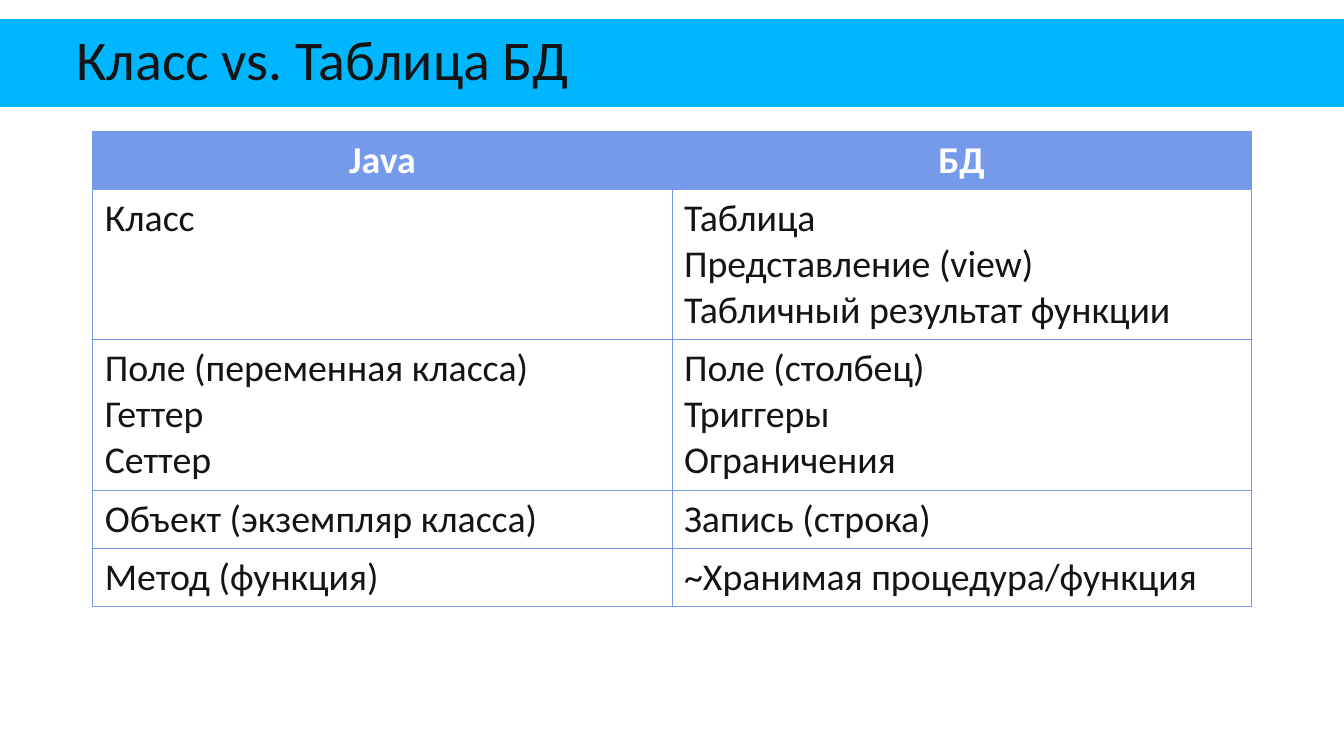
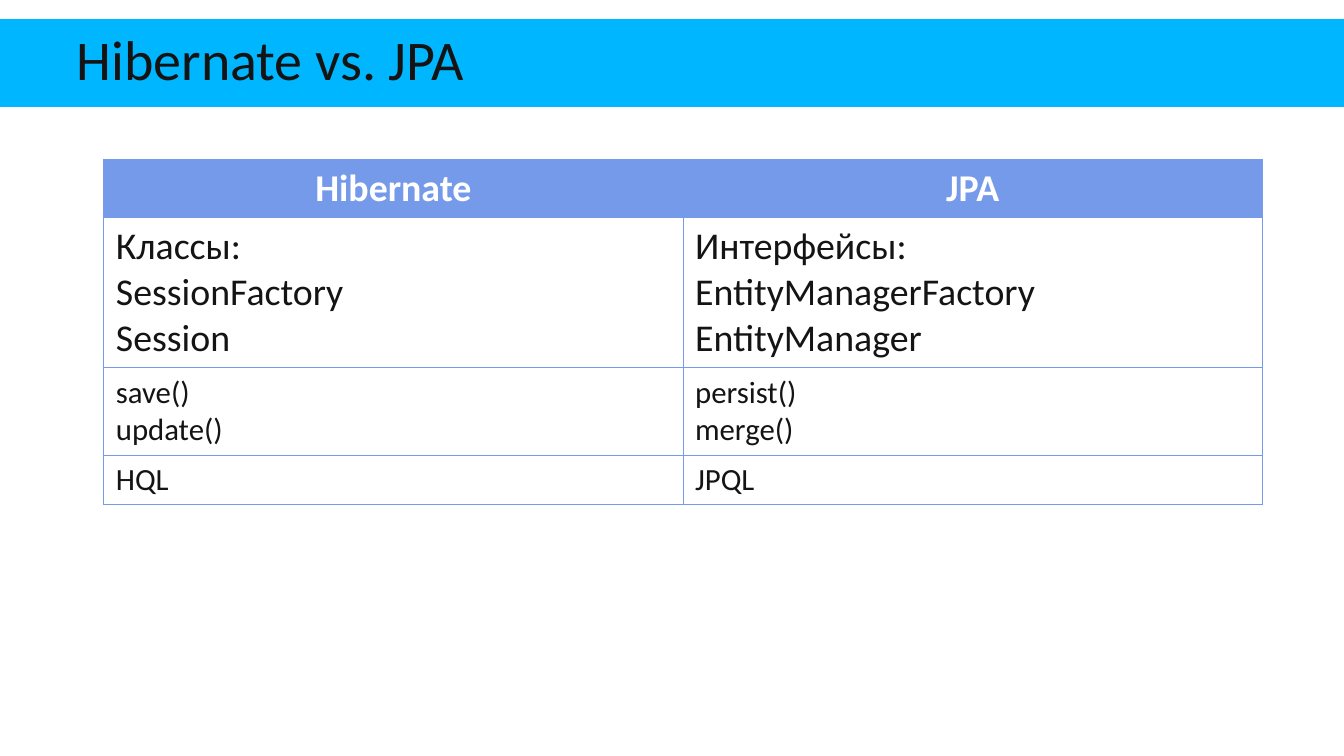
from lxml.etree import SubElement
from pptx import Presentation
from pptx.dml.color import RGBColor
from pptx.enum.shapes import MSO_SHAPE
from pptx.enum.text import MSO_ANCHOR, PP_ALIGN
from pptx.oxml.ns import qn
from pptx.util import Emu, Inches, Pt

FONT = "Calibri"
BAND = RGBColor(0x00, 0xB7, 0xFF)
INK = RGBColor(0x14, 0x14, 0x14)
WHITE = RGBColor(0xFF, 0xFF, 0xFF)
PERIWINKLE = RGBColor(0x76, 0x9A, 0xEA)

SLIDE_SIZE = Inches(13.33), Inches(7.5)
BAND_BOX = 0, Inches(0.19), SLIDE_SIZE[0], Inches(0.87)
TABLE_WIDTH = Inches(11.49)
PAD_X, PAD_Y = Inches(0.12), Inches(0.06)
LINE_HEIGHT = 1.22
LARGE, SMALL = 27, 22

# Each table row: text size, then the lines of each cell.
CLASS_ROWS = [
    (LARGE, ["Java"], ["БД"]),
    (LARGE, ["Класс"],
     ["Таблица", "Представление (view)", "Табличный результат функции"]),
    (LARGE, ["Поле (переменная класса)", "Геттер", "Сеттер"],
     ["Поле (столбец)", "Триггеры", "Ограничения"]),
    (LARGE, ["Объект (экземпляр класса)"], ["Запись (строка)"]),
    (LARGE, ["Метод (функция)"], ["~Хранимая процедура/функция"]),
]
JPA_ROWS = [
    (LARGE, ["Hibernate"], ["JPA"]),
    (LARGE, ["Классы:", "SessionFactory", "Session"],
     ["Интерфейсы:", "EntityManagerFactory", "EntityManager"]),
    (SMALL, ["save()", "update()"], ["persist()", "merge()"]),
    (SMALL, ["HQL"], ["JPQL"]),
]


def write(frame, lines, size, color=INK, bold=False, align=PP_ALIGN.LEFT, spacing=None):
    """Fill a text frame with one paragraph per line."""
    frame.word_wrap = True
    for number, line in enumerate(lines):
        paragraph = frame.add_paragraph() if number else frame.paragraphs[0]
        paragraph.alignment = align
        paragraph.line_spacing = spacing
        run = paragraph.add_run()
        run.text = line
        run.font.name = FONT
        run.font.size = Pt(size)
        run.font.bold = bold
        run.font.color.rgb = color


def add_title_band(slide, title, box):
    left, top, width, height = box
    band = slide.shapes.add_shape(MSO_SHAPE.RECTANGLE, left, top, width, height)
    band.shadow.inherit = False
    band.fill.solid()
    band.fill.fore_color.rgb = BAND
    band.line.fill.background()

    inset_y = Inches(0.12)
    heading = slide.shapes.add_textbox(
        left + Inches(0.76), top + inset_y, Inches(11.81), height - 2 * inset_y)
    frame = heading.text_frame
    frame.margin_left = frame.margin_right = frame.margin_top = frame.margin_bottom = 0
    frame.vertical_anchor = MSO_ANCHOR.MIDDLE
    write(frame, [title], size=40, spacing=0.85)


def outline(cell):
    properties = cell._tc.get_or_add_tcPr()
    for side in ("lnL", "lnR", "lnT", "lnB"):
        border = SubElement(properties, qn(f"a:{side}"), w=str(Pt(0.75)))
        fill = SubElement(border, qn("a:solidFill"))
        SubElement(fill, qn("a:srgbClr"), val=str(PERIWINKLE))


def format_cell(cell, lines, size, is_header):
    cell.margin_left = cell.margin_right = PAD_X
    cell.margin_top = cell.margin_bottom = PAD_Y
    outline(cell)
    if is_header:
        cell.fill.solid()
        cell.fill.fore_color.rgb = PERIWINKLE
        write(cell.text_frame, lines, size, color=WHITE, bold=True, align=PP_ALIGN.CENTER)
    else:
        cell.fill.background()
        write(cell.text_frame, lines, size)


def row_height(size, cells):
    line_count = max(len(lines) for lines in cells)
    return Emu(int(line_count * Pt(size) * LINE_HEIGHT) + 2 * PAD_Y)


def add_comparison(slide, rows, left, top):
    heights = [row_height(size, cells) for size, *cells in rows]
    table = slide.shapes.add_table(
        len(rows), 2, left, top, TABLE_WIDTH, sum(heights)).table
    table.horz_banding = False
    for number, (size, *cells) in enumerate(rows):
        table.rows[number].height = heights[number]
        for column, lines in enumerate(cells):
            format_cell(table.cell(number, column), lines, size, is_header=number == 0)


def add_comparison_slide(deck, title, rows, left, top):
    slide = deck.slides.add_slide(deck.slide_layouts[6])
    add_title_band(slide, title, BAND_BOX)
    add_comparison(slide, rows, left, top)


def main():
    deck = Presentation()
    deck.slide_width, deck.slide_height = SLIDE_SIZE
    add_comparison_slide(deck, "Класс vs. Таблица БД", CLASS_ROWS, Inches(0.92), Inches(1.3))
    add_comparison_slide(deck, "Hibernate vs. JPA", JPA_ROWS, Inches(1.03), Inches(1.58))
    deck.save("out.pptx")


if __name__ == "__main__":
    main()
